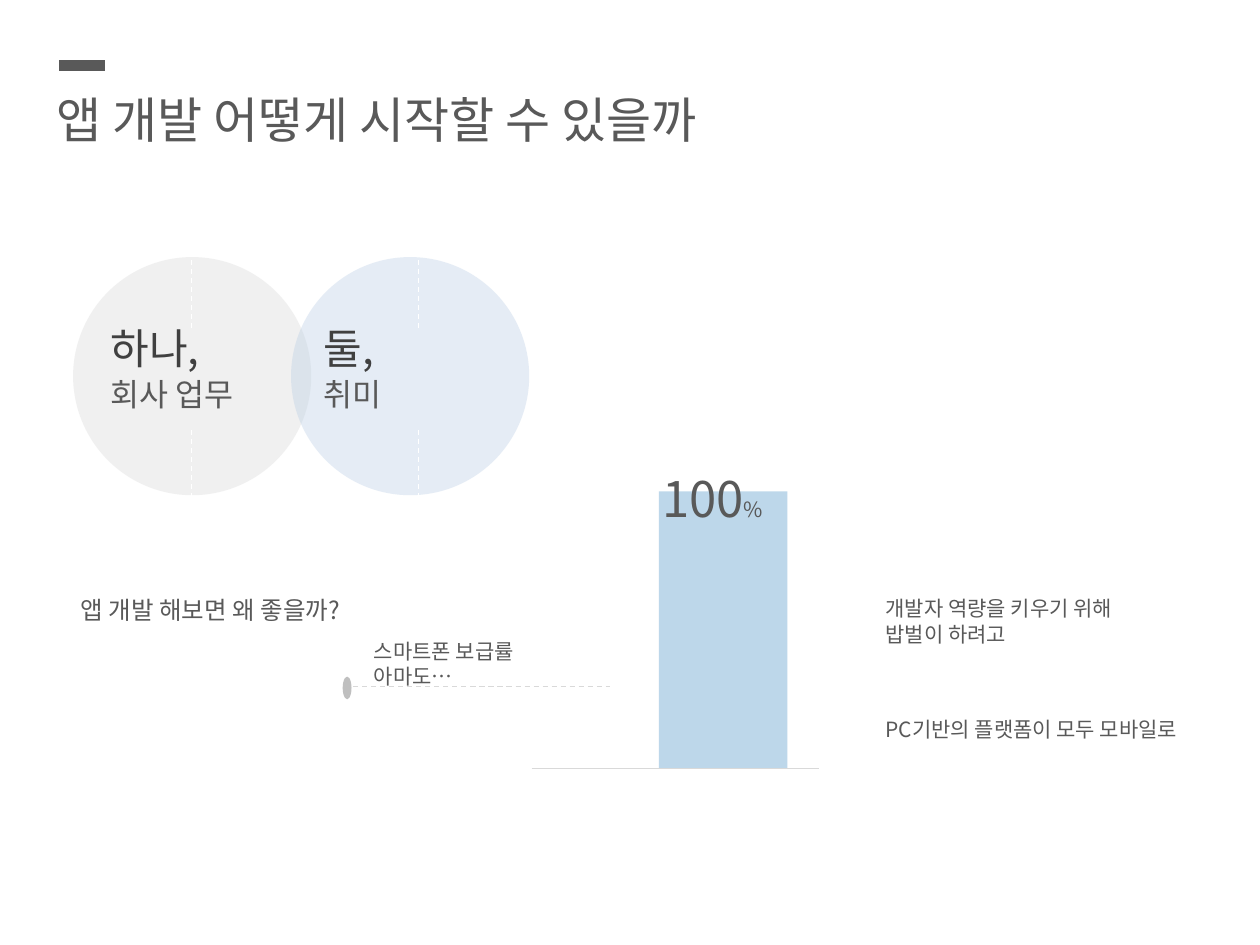
from typing import NamedTuple

from lxml.etree import SubElement
from pptx import Presentation
from pptx.dml.color import RGBColor
from pptx.enum.dml import MSO_LINE
from pptx.enum.shapes import MSO_CONNECTOR, MSO_SHAPE
from pptx.oxml.ns import qn
from pptx.util import Inches, Pt

FONT = "Noto Sans CJK KR"
DARK = RGBColor(0x40, 0x40, 0x40)
TEXT = RGBColor(0x59, 0x59, 0x59)
MARKER = RGBColor(0xBF, 0xBF, 0xBF)
RULE = RGBColor(0xD9, 0xD9, 0xD9)
SKY = RGBColor(0x4C, 0x93, 0xC7)
PALE_BLUE = RGBColor(0xB9, 0xCD, 0xE5)
WHITE = RGBColor(0xFF, 0xFF, 0xFF)


class Box(NamedTuple):
    left: float
    top: float
    width: float
    height: float


class Label(NamedTuple):
    box: Box
    lines: list[str]
    size: float
    color: RGBColor = TEXT


class Reason(NamedTuple):
    circle_left: float
    text_left: float
    dash_x: float
    fill: RGBColor
    heading: str
    detail: str
    detail_width: float


TITLE = Label(Box(0.35, 0.66, 6.06, 0.57), ["앱 개발 어떻게 시작할 수 있을까"], 28)
QUESTION = Label(Box(0.54, 4.67, 2.59, 0.34), ["앱 개발 해보면 왜 좋을까?"], 14)
NOTES = [
    Label(Box(6.93, 4.68, 2.32, 0.5), ["개발자 역량을 키우기 위해", "밥벌이 하려고"], 12),
    Label(Box(6.93, 5.64, 2.75, 0.3), ["PC기반의 플랫폼이 모두 모바일로"], 12),
    Label(Box(2.87, 5.02, 1.97, 0.3), ["스마트폰 보급률 아마도…"], 12),
]
REASONS = [
    Reason(0.58, 0.78, 1.52, RULE, "하나,", "회사 업무", 1.38),
    Reason(2.31, 2.47, 3.32, PALE_BLUE, "둘,", "취미", 1.73),
]
CIRCLE_TOP, CIRCLE_SIZE = 2.04, 1.89
DASH_TOPS, DASH_LENGTH = (3.41, 1.99), 0.63


def add_label(slide, label: Label):
    frame = slide.shapes.add_textbox(*map(Inches, label.box)).text_frame
    frame.word_wrap = True
    frame.text = "\n".join(label.lines)
    for paragraph in frame.paragraphs:
        font = paragraph.font
        font.size = Pt(label.size)
        font.color.rgb = label.color
        font.name = FONT
        # Hangul takes the East Asian typeface
        properties = paragraph._p.pPr.find(qn("a:defRPr"))
        SubElement(properties, qn("a:ea"), typeface=FONT)
    return frame


def add_filled(slide, kind: MSO_SHAPE, box: Box, color: RGBColor, opacity: int = 100) -> None:
    """Draw an unlined shape; opacity is in percent."""
    shape = slide.shapes.add_shape(kind, *map(Inches, box))
    shape.shadow.inherit = False
    shape.line.fill.background()
    shape.fill.solid()
    shape.fill.fore_color.rgb = color
    if opacity < 100:
        srgb = shape._element.spPr.find(qn("a:solidFill")).find(qn("a:srgbClr"))
        SubElement(srgb, qn("a:alpha"), val=str(opacity * 1000))


def add_line(slide, x1: float, y1: float, x2: float, y2: float,
             color: RGBColor, width: float = 0.75, dashed: bool = False) -> None:
    ends = map(Inches, (x1, y1, x2, y2))
    line = slide.shapes.add_connector(MSO_CONNECTOR.STRAIGHT, *ends)
    line.line.color.rgb = color
    line.line.width = Pt(width)
    if dashed:
        line.line.dash_style = MSO_LINE.DASH
    SubElement(line._element.spPr, qn("a:effectLst"))


def add_bar(slide) -> None:
    add_filled(slide, MSO_SHAPE.RECTANGLE, Box(5.23, 3.9, 1.02, 2.2), SKY, 37)
    share = add_label(slide, Label(Box(5.16, 3.67, 1.3, 0.57), ["100"], 28))
    percent = share.paragraphs[0].add_run()
    percent.text = "%"
    percent.font.size = Pt(12)
    add_line(slide, 4.22, 6.1, 6.5, 6.1, RULE)


def add_reasons(slide) -> None:
    for reason in REASONS:
        circle = Box(reason.circle_left, CIRCLE_TOP, CIRCLE_SIZE, CIRCLE_SIZE)
        add_filled(slide, MSO_SHAPE.OVAL, circle, reason.fill, 37)
    for reason in REASONS:
        left = reason.text_left
        add_label(slide, Label(Box(left, 2.51, 1.38, 0.5), [reason.heading], 24, DARK))
        add_label(slide, Label(Box(left, 2.93, reason.detail_width, 0.4), [reason.detail], 18))
    for top in DASH_TOPS:
        for reason in REASONS:
            x = reason.dash_x
            add_line(slide, x, top, x, top + DASH_LENGTH, WHITE, dashed=True)


def main() -> None:
    deck = Presentation()
    deck.slide_width, deck.slide_height = Inches(10), Inches(7.5)
    slide = deck.slides.add_slide(deck.slide_layouts[6])

    add_label(slide, TITLE)
    add_label(slide, QUESTION)
    add_line(slide, 0.47, 0.52, 0.83, 0.52, TEXT, 6)
    add_bar(slide)
    for note in NOTES:
        add_label(slide, note)
    add_line(slide, 2.73, 5.45, 4.84, 5.45, RULE, dashed=True)
    add_filled(slide, MSO_SHAPE.OVAL, Box(2.72, 5.37, 0.07, 0.18), MARKER)
    add_reasons(slide)

    deck.save("out.pptx")


if __name__ == "__main__":
    main()
